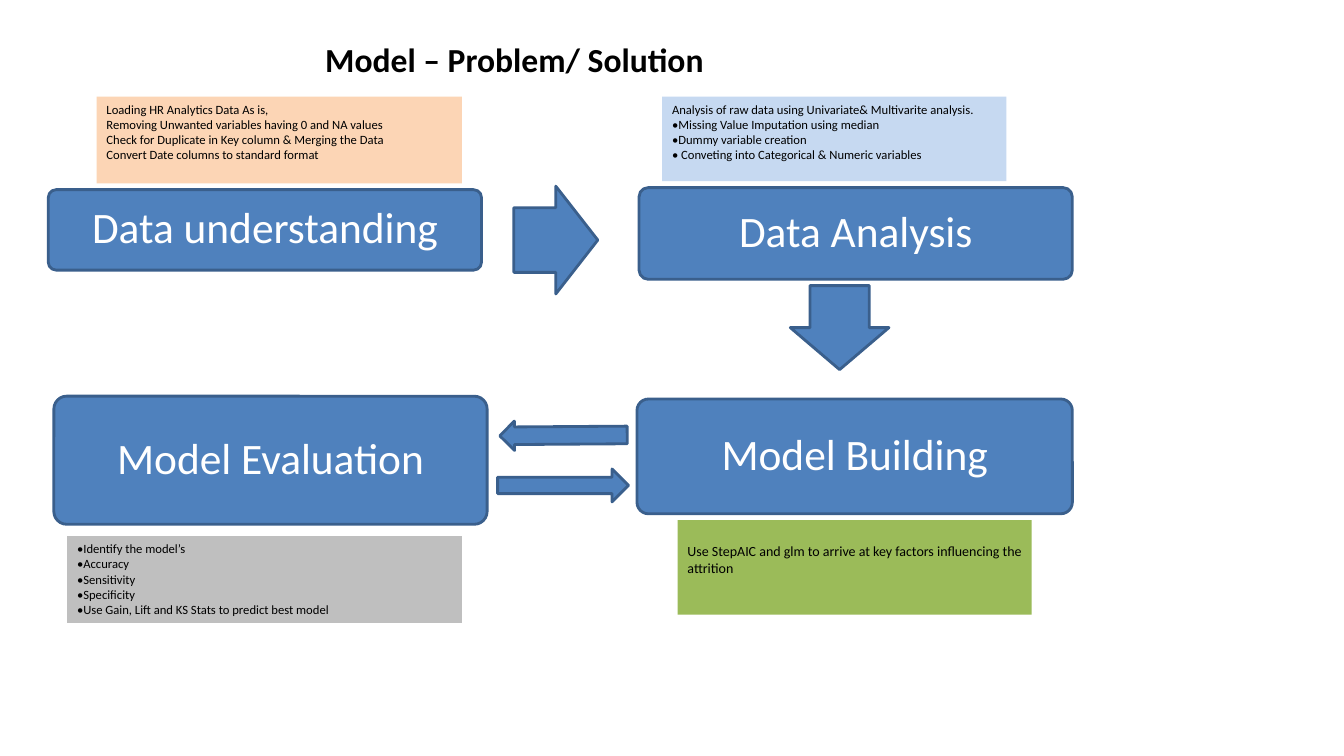
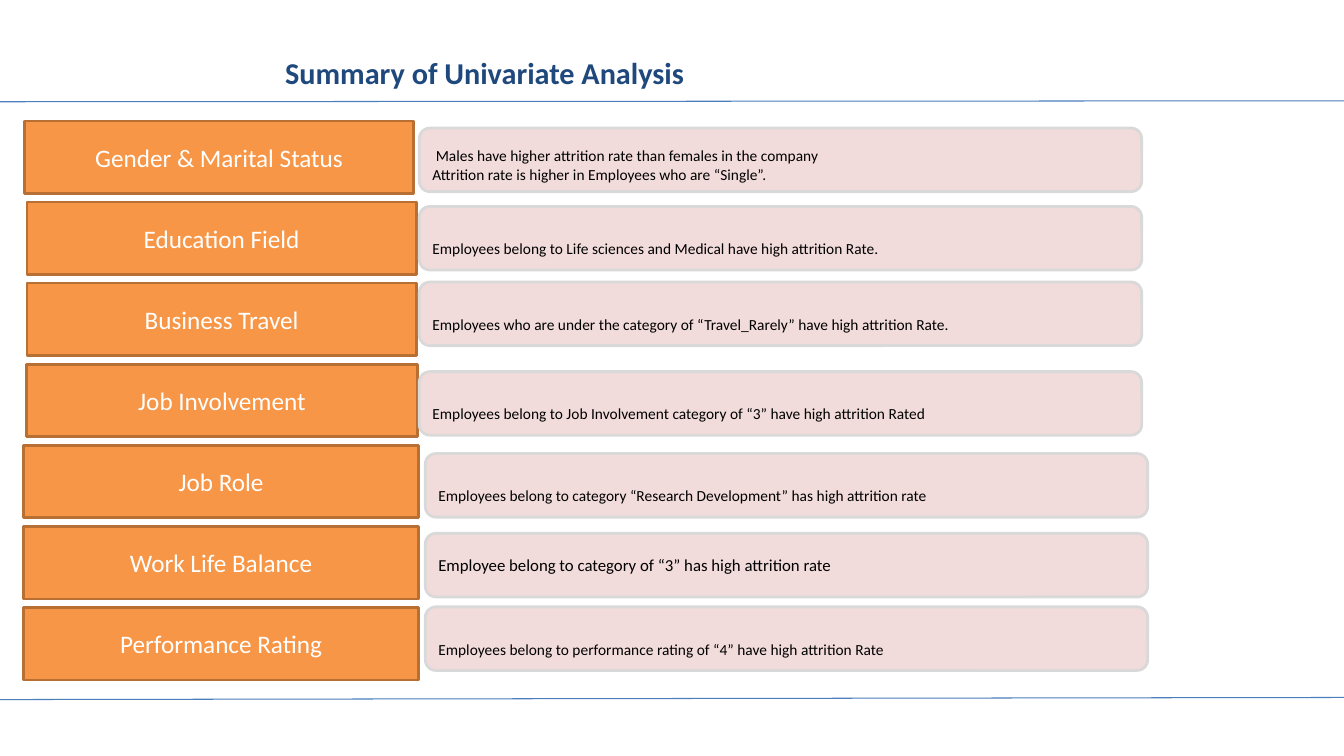
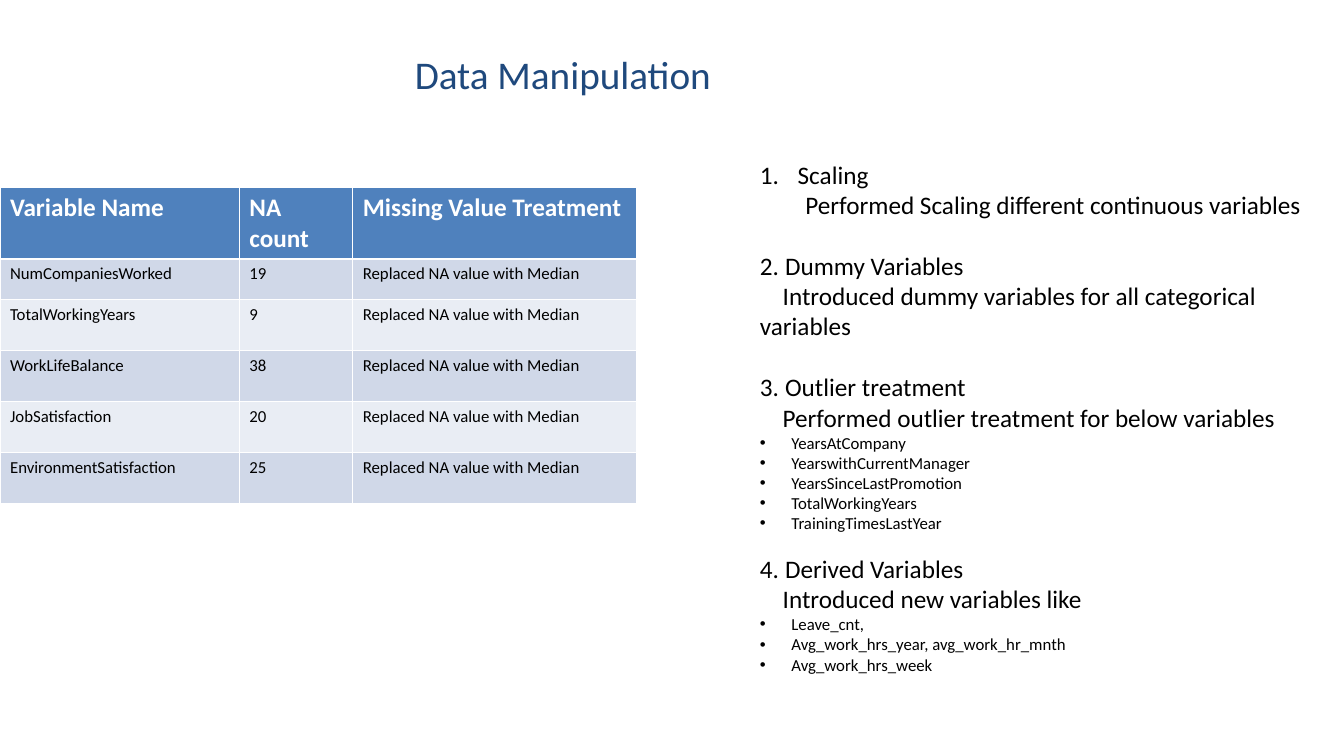
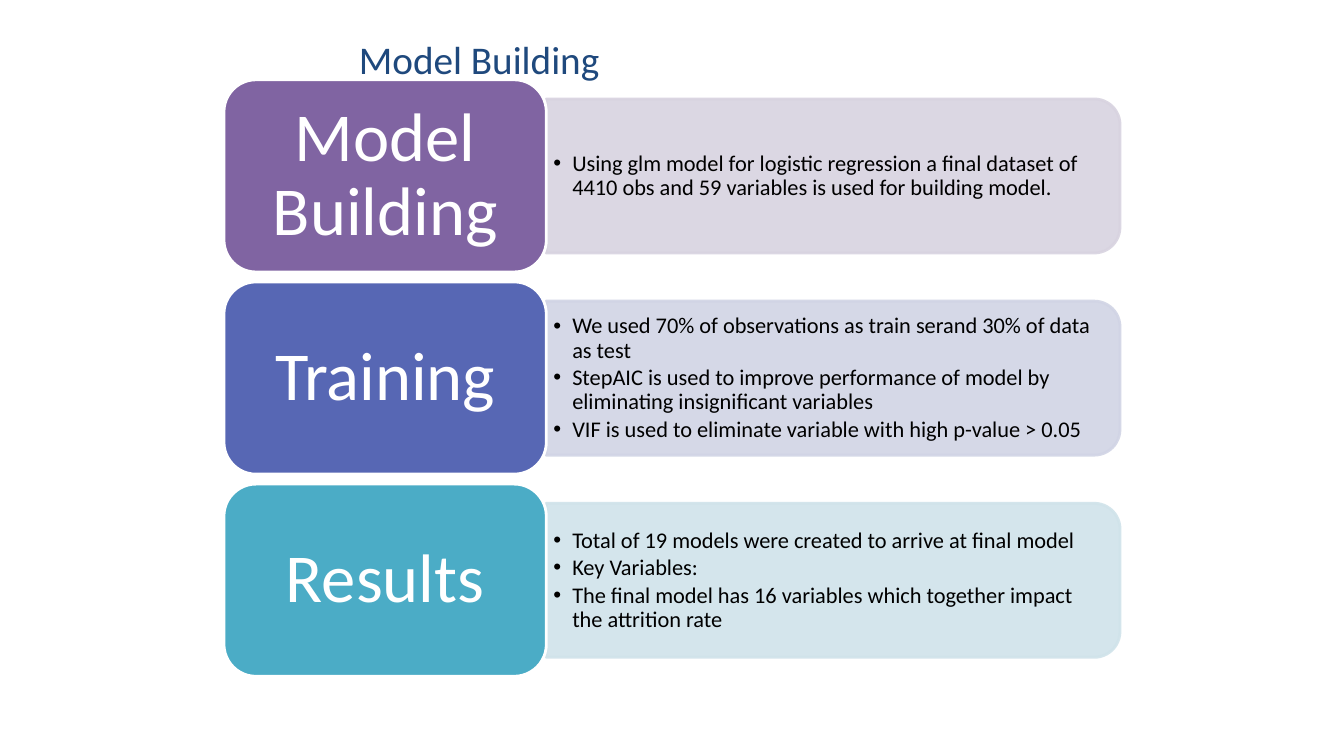
"""Build the four-slide HR attrition model deck."""
from lxml import etree
from pptx import Presentation
from pptx.dml.color import RGBColor
from pptx.enum.shapes import MSO_CONNECTOR, MSO_SHAPE as SHAPE
from pptx.enum.text import MSO_ANCHOR as ANCHOR, PP_ALIGN as ALIGN
from pptx.oxml.ns import qn
from pptx.util import Pt

FONT = "Calibri"
BLACK, WHITE, NAVY = "000000", "FFFFFF", "1F497D"
BLUE, BLUE_EDGE = "4F81BD", "3A5F8C"
ORANGE, ORANGE_EDGE = "F79646", "B76F34"
PINK, PINK_EDGE = "F2DCDB", "D9D9D9"
RULE = "4B7EBC"
rgb = RGBColor.from_string


def add_box(s, kind, at, fill=None, line=None, lines=(), size=18, color=BLACK, bold=False,
            align=ALIGN.LEFT, anchor=ANCHOR.MIDDLE, margins=(7.2, 3.6, 7.2, 3.6)):
    x, y, w, h = (Pt(v) for v in at)
    if kind is None:
        sp = s.shapes.add_textbox(x, y, w, h)
    else:
        sp = s.shapes.add_shape(kind, x, y, w, h)
        sp.shadow.inherit = False
        sp.fill.solid()
        sp.fill.fore_color.rgb = rgb(fill)
        if line:
            sp.line.color.rgb = rgb(line)
            sp.line.width = Pt(2)
        else:
            sp.line.fill.background()
    tf = sp.text_frame
    tf.word_wrap = True
    tf.vertical_anchor = anchor
    tf.margin_left, tf.margin_top, tf.margin_right, tf.margin_bottom = (Pt(m) for m in margins)
    tf.text = "\n".join(lines)
    for p in tf.paragraphs:
        p.alignment = align
        for r in p.runs:
            r.font.name, r.font.size, r.font.bold = FONT, Pt(size), bold
            r.font.color.rgb = rgb(color)
    return sp


def set_indent(p, left, first, mark=None):
    pPr = p._p.get_or_add_pPr()
    pPr.set("marL", str(Pt(left)))
    pPr.set("indent", str(Pt(first)))
    if mark == "•":
        etree.SubElement(pPr, qn("a:buFont"), typeface="Arial")
        etree.SubElement(pPr, qn("a:buChar"), char=mark)
    elif mark:
        etree.SubElement(pPr, qn("a:buAutoNum"), type="arabicPeriod", startAt=mark)


prs = Presentation()
prs.slide_width, prs.slide_height = Pt(960), Pt(540)

titles = [
    ("Model – Problem/ Solution", (48, 21.5, 639, 41), 24, BLACK, True),
    ("Summary of Univariate Analysis", (110, 36, 472.5, 31), 21.6, NAVY, True),
    ("Data Manipulation", (44.5, 21.5, 715, 62.5), 28, NAVY, False),
    ("Model Building", (113, 21.5, 458.5, 40.5), 28, NAVY, False),
]
slides = []
for title, at, size, color, bold in titles:
    s = prs.slides.add_slide(prs.slide_layouts[6])
    add_box(s, None, at, lines=[title], size=size, color=color, bold=bold, align=ALIGN.CENTER)
    slides.append(s)
flow, summary, manipulation, building = slides

steps = [
    ("Data understanding", (34.5, 135.5, 309.5, 57.5)),
    ("Data Analysis", (456.5, 134, 309.5, 65.5)),
    ("Model Building", (455, 285, 311, 82)),
    ("Model Evaluation", (38.5, 283, 309.5, 91.5)),
]
for label, at in steps:
    sp = add_box(flow, SHAPE.ROUNDED_RECTANGLE, at, BLUE, BLUE_EDGE, [label], 31, WHITE,
                 align=ALIGN.CENTER, margins=(9.4,) * 4)
    sp.adjustments[0] = 0.1
    sp.text_frame.paragraphs[0].line_spacing = 0.9

arrows = [
    (SHAPE.RIGHT_ARROW, (367, 133, 60, 77), 0.6, 0),
    (SHAPE.DOWN_ARROW, (564.5, 204, 70.5, 60), 0.6, 0),
    (SHAPE.LEFT_ARROW, (357, 300.5, 91, 21), 0.6, -0.4),
    (SHAPE.RIGHT_ARROW, (355.5, 335, 93.5, 23.5), 0.5, 0),
]
for kind, at, shaft, angle in arrows:
    sp = add_box(flow, kind, at, BLUE, BLUE_EDGE)
    sp.adjustments[0], sp.adjustments[1] = shaft, 0.5
    sp.rotation = angle

notes = [
    ((69, 69, 261, 62), "FCD5B5", 9, 3.6, [
        "Loading HR Analytics Data As is,",
        "Removing Unwanted variables having 0 and NA values",
        "Check for Duplicate in Key column & Merging the Data",
        "Convert Date columns to standard format"]),
    ((473, 69, 246, 60.5), "C6D9F1", 9, 3.6, [
        "Analysis of raw data using Univariate& Multivarite analysis.",
        "•Missing Value Imputation using median",
        "•Dummy variable creation",
        "• Conveting into Categorical & Numeric variables"]),
    ((484, 371.5, 253, 67.5), "9BBB59", 10, 15.8, [
        "Use StepAIC and glm to arrive at key factors influencing the attrition"]),
    ((48, 383, 282, 62), "BFBFBF", 9, 3.6, [
        "•Identify the model’s",
        "•Accuracy",
        "•Sensitivity",
        "•Specificity",
        "•Use Gain, Lift and KS Stats to predict best model"]),
]
for at, fill, size, top, lines in notes:
    add_box(flow, SHAPE.RECTANGLE, at, fill, None, lines, size, anchor=ANCHOR.TOP,
            margins=(7.2, top, 7.2, 3.6))

for y1, y2 in [(72.7, 72), (499.7, 498.2)]:
    rule = summary.shapes.add_connector(MSO_CONNECTOR.STRAIGHT, 0, Pt(y1), Pt(960), Pt(y2))
    rule.line.color.rgb = rgb(RULE)
    rule.line.width = Pt(0.75)
    etree.SubElement(rule._element.spPr, qn("a:effectLst"))

findings = [
    ("Gender & Marital Status", 17.5, 278, 299.5, 91.5, 11, 11,
     [" Males have higher attrition rate than females in the company",
      "Attrition rate is higher in Employees who are “Single”."]),
    ("Education Field", 19.3, 278, 299.5, 147.5, 11, 18.2,
     ["Employees belong to Life sciences and Medical have high attrition Rate."]),
    ("Business Travel", 19.3, 278, 299.5, 201.5, 11, 18.2,
     ["Employees who are under the category of “Travel_Rarely” have high attrition Rate."]),
    ("Job Involvement", 18.8, 279.5, 299.5, 265.5, 11, 18.2,
     ["Employees belong to Job Involvement category of “3” have high attrition Rated"]),
    ("Job Role", 16.7, 282.5, 303.8, 324, 11, 18.2,
     ["Employees belong to category “Research Development” has high attrition rate"]),
    ("Work Life Balance", 16.7, 282.5, 303.8, 381, 12, 3.6,
     ["Employee belong to category of “3” has high attrition rate"]),
    ("Performance Rating", 16.7, 282.5, 303.8, 433.5, 11, 18.2,
     ["Employees belong to performance rating of “4” have high attrition Rate"]),
]
for i, (label, x, w, note_x, note_y, size, top, lines) in enumerate(findings):
    add_box(summary, SHAPE.RECTANGLE, (x, 86.4 + 57.9 * i, w, 52), ORANGE, ORANGE_EDGE, [label],
            18, WHITE, align=ALIGN.CENTER)
    add_box(summary, SHAPE.ROUNDED_RECTANGLE, (note_x, note_y, 516, 45.4), PINK, PINK_EDGE, lines,
            size, margins=(7.2, top, 7.2, 3.6))

treatment = "Replaced NA value with Median"
rows = [("Variable Name", "NA count", "Missing Value Treatment")]
for name, count in [("NumCompaniesWorked", 19), ("TotalWorkingYears", 9), ("WorkLifeBalance", 38),
                    ("JobSatisfaction", 20), ("EnvironmentSatisfaction", 25)]:
    rows.append((name, str(count), treatment))
heights = [51, 29] + [36.5] * 4
table = manipulation.shapes.add_table(6, 3, 0, Pt(134), Pt(455), Pt(sum(heights))).table
for col, w in zip(table.columns, (171, 81, 203)):
    col.width = Pt(w)
for i, (row, h) in enumerate(zip(rows, heights)):
    table.rows[i].height = Pt(h)
    for j, value in enumerate(row):
        cell = table.cell(i, j)
        cell.fill.solid()
        cell.fill.fore_color.rgb = rgb(BLUE if i == 0 else "D0D8E8" if i % 2 else "E9EDF4")
        cell.text_frame.text = value
        r = cell.text_frame.paragraphs[0].runs[0]
        r.font.name, r.font.size, r.font.bold = FONT, Pt(12 if i else 18), i == 0
        r.font.color.rgb = rgb(BLACK if i else WHITE)

topics = [
    ("Scaling", 27, 0, 32.5, "Performed Scaling different continuous variables", []),
    ("Dummy Variables", 18, 22, 16.3, "Introduced dummy variables for all categorical variables", []),
    ("Outlier treatment", 18, 22, 16.3, "Performed outlier treatment for below variables",
     ["YearsAtCompany", "YearswithCurrentManager", "YearsSinceLastPromotion", "TotalWorkingYears",
      "TrainingTimesLastYear"]),
    ("Derived Variables", 18, 14.6, 16.3, "Introduced new variables like",
     ["Leave_cnt,", "Avg_work_hrs_year, avg_work_hr_mnth", "Avg_work_hrs_week"]),
]
lines = [t for head, _, _, _, body, items in topics for t in (head, body, *items)]
sp = add_box(manipulation, None, (535.7, 110, 403, 400), lines=lines, anchor=ANCHOR.TOP)
paragraphs = iter(sp.text_frame.paragraphs)
for n, (head, left, gap, first, body, items) in enumerate(topics, 1):
    p = next(paragraphs)
    set_indent(p, left, -left, str(n))
    p.space_before = Pt(gap)
    set_indent(next(paragraphs), 0, first)
    for item in items:
        p = next(paragraphs)
        set_indent(p, 22.5, -22.5, "•")
        p.runs[0].font.size = Pt(12)

stages = [
    ("Model Building", "8064A2", "D8D3E0", [
        "Using glm model for logistic regression a final dataset of 4410 obs and 59 variables is "
        "used for building model."]),
    ("Training", "5767B4", "D1D4E5", [
        "We used 70% of observations as train serand 30% of data as test",
        "StepAIC is used to improve performance of model by eliminating insignificant variables",
        "VIF is used to eliminate variable with high p-value > 0.05"]),
    ("Results", "4BACC6", "D0E3EA", [
        "Total of 19 models were created to arrive at final model",
        "Key Variables:",
        "The final model has 16 variables which together impact the attrition rate"]),
]
for i, (label, fill, tint, lines) in enumerate(stages):
    y = 57 + 144.4 * i
    panel = add_box(building, SHAPE.ROUND_2_SAME_RECTANGLE, (540, y - 136.3, 110, 410), tint, tint)
    panel.rotation = 90
    for clr in panel._element.spPr.iter(qn("a:srgbClr")):
        etree.SubElement(clr, qn("a:alpha"), val="90000")
    sp = add_box(building, None, (390.3, y + 19.2, 404, 99.5), lines=lines, size=16,
                 margins=(5, 2.2, 5, 2.2))
    for p in sp.text_frame.paragraphs:
        set_indent(p, 13.5, -13.5, "•")
        p.line_spacing, p.space_after = 0.9, Pt(2.4)
    sp = add_box(building, SHAPE.ROUNDED_RECTANGLE, (160, y, 230.3, 137.3), fill, WHITE, [label],
                 49, WHITE, align=ALIGN.CENTER, margins=(14.4, 7.2, 14.4, 7.2))
    sp.text_frame.paragraphs[0].line_spacing = 0.9

prs.save("out.pptx")
